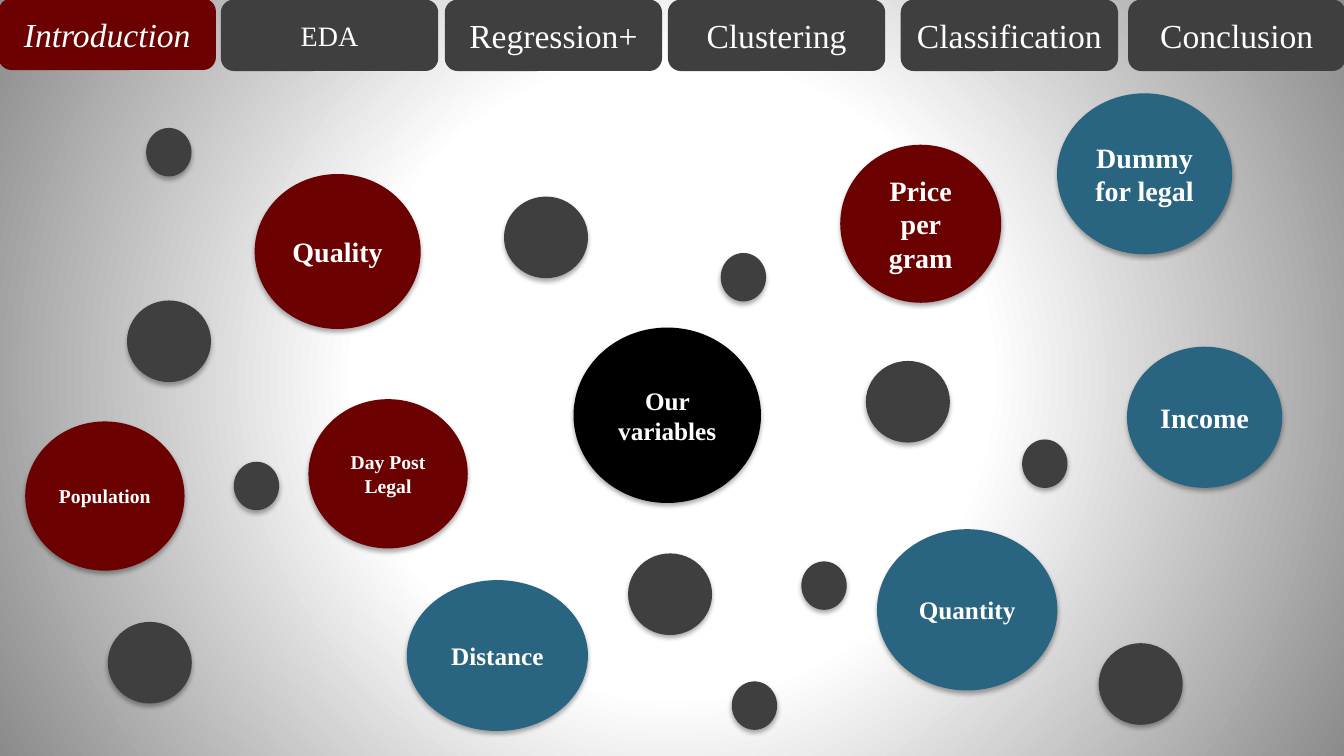
"""Build a slide of labelled variable bubbles below a row of section tabs."""
from lxml import etree
from pptx import Presentation
from pptx.dml.color import RGBColor
from pptx.enum.shapes import MSO_SHAPE
from pptx.enum.text import MSO_ANCHOR, PP_ALIGN
from pptx.oxml import parse_xml
from pptx.oxml.ns import nsdecls, qn
from pptx.util import Pt

TAB = MSO_SHAPE.ROUNDED_RECTANGLE
BUBBLE = MSO_SHAPE.OVAL
MIDDLE = MSO_ANCHOR.MIDDLE
CENTER = PP_ALIGN.CENTER
FONT = "Times New Roman"
RED, GRAY, BLUE, BLACK, WHITE = "6B0101", "3F3F3F", "296480", "000000", "FFFFFF"


def rgb(value):
    return RGBColor.from_string(value)


def add_item(kind, left, top, width, height, color, outlined, label="", size=18):
    item = slide.shapes.add_shape(kind, Pt(left), Pt(top), Pt(width), Pt(height))
    item.fill.solid()
    item.fill.fore_color.rgb = rgb(color)
    if outlined:
        item.line.color.rgb = rgb(color)
        item.line.width = Pt(2)
    else:
        item.line.fill.background()
    item.shadow.inherit = False
    if kind == BUBBLE:
        effects = item.element.spPr.find(qn("a:effectLst"))
        effects.append(parse_xml(
            f'<a:outerShdw {nsdecls("a")} blurRad="{Pt(3.5)}" dist="{Pt(2.2)}" '
            f'dir="5400000" rotWithShape="0"><a:srgbClr val="{BLACK}">'
            '<a:alpha val="32000"/></a:srgbClr></a:outerShdw>'))
    if label:
        item.text_frame.text = label
        item.text_frame.vertical_anchor = MIDDLE
        paragraph = item.text_frame.paragraphs[0]
        paragraph.alignment = CENTER
        font = paragraph.runs[0].font
        font.name = FONT
        font.size = Pt(size)
        font.bold = kind == BUBBLE
        font.italic = label == "Introduction"
        font.color.rgb = rgb(WHITE)


presentation = Presentation()
presentation.slide_width = Pt(960)
presentation.slide_height = Pt(540)
slide = presentation.slides.add_slide(presentation.slide_layouts[6])

slide.background.fill.gradient()
gradient = slide.element.find(".//" + qn("a:gradFill"))
for part in list(gradient):
    gradient.remove(part)
stops = etree.SubElement(gradient, qn("a:gsLst"))
for position, color in [(0, WHITE), (41, WHITE), (100, "8B8B8B")]:
    stop = etree.SubElement(stops, qn("a:gs"), pos=str(position * 1000))
    etree.SubElement(stop, qn("a:srgbClr"), val=color)
glow = etree.SubElement(gradient, qn("a:path"), path="circle")
etree.SubElement(glow, qn("a:fillToRect"), l="50000", t="50000", r="50000", b="50000")

sections = [
    ("Introduction", 0, 0, RED, 24),
    ("EDA", 158.8, 0.7, GRAY, 20),
    ("Regression+", 318.7, 0.7, GRAY, 24),
    ("Clustering", 478.1, 0.7, GRAY, 24),
    ("Classification", 644.4, 0.7, GRAY, 24),
    ("Conclusion", 806.8, 0.7, GRAY, 24),
]
for label, left, top, color, size in sections:
    add_item(TAB, left, top, 153.2, 49, color, True, label, size)

variables = [
    ("Our variables", 409.7, 234, 133.9, 125.3, BLACK, False, 18),
    ("Price per gram", 601.2, 104.4, 113, 110.9, RED, True, 20),
    ("Quality", 182.9, 125.3, 116.6, 108.7, RED, True, 20),
    ("Population", 18, 301, 113.8, 106.6, RED, False, 14),
    ("Day Post Legal", 220.3, 285.1, 113.8, 106.6, RED, False, 14),
    ("Distance", 291.6, 415.4, 127.4, 105.8, BLUE, True, 18),
    ("Quantity", 626.4, 378, 128.9, 115.2, BLUE, False, 18),
    ("Income", 805, 247.7, 110.9, 100.8, BLUE, False, 20),
    ("Dummy for legal", 756, 67.7, 123.1, 113, BLUE, True, 20),
]
for label, left, top, width, height, color, outlined, size in variables:
    add_item(BUBBLE, left, top, width, height, color, outlined, label, size)

large_dots = [(448.6, 395.3), (618.5, 257.8), (784.8, 459.4),
              (90.7, 214.6), (77, 444.2), (360, 140.4)]
small_dots = [(514.8, 180.7), (572.4, 401), (167, 329.8),
              (522.7, 486.7), (730.1, 313.9), (104.4, 91.4)]
for dots, width, height in [(large_dots, 60, 58.3), (small_dots, 32.4, 34.6)]:
    for left, top in dots:
        add_item(BUBBLE, left, top, width, height, GRAY, False)

presentation.save("out.pptx")
